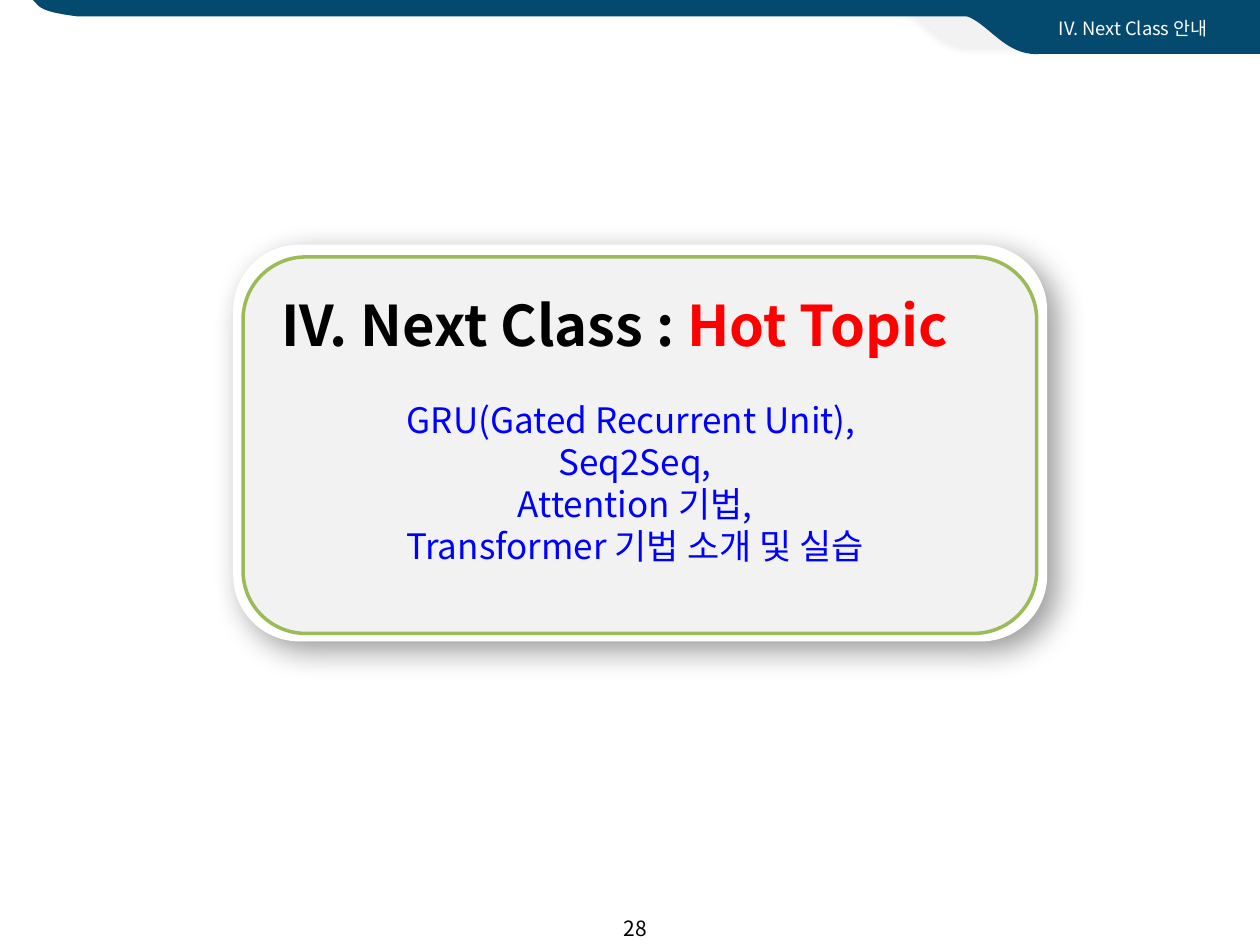
from dataclasses import dataclass

import pptx
import pptx.dml.color
import pptx.enum.shapes
import pptx.enum.text
import pptx.oxml
import pptx.oxml.ns
import pptx.util
from pptx.util import Cm

FONT = "Noto Sans CJK KR"
NAVY, GREY, WHITE, BLACK = "044A6E", "F2F2F2", "FFFFFF", "000000"
RED, BLUE, GREEN = "FF0000", "0000FF", "9BBB59"
ANCHOR = pptx.enum.text.MSO_ANCHOR
Point = tuple[float, float]


@dataclass
class Shade:
    alpha: int
    blur: float
    dist: float
    angle: int


@dataclass
class Band:
    """A bar whose left end is a curve; points are in cm."""
    edge: list[Point]
    bend: list[Point]
    fill: str
    shade: Shade | None = None


@dataclass
class Card:
    box: tuple[float, float, float, float]
    fill: str
    line: str | None = None
    shade: Shade | None = None
    turn: int = 0


@dataclass
class Label:
    box: tuple[float, float, float, float]
    lines: list[list[tuple[str, str]]]
    size: float
    bold: bool = False
    anchor: ANCHOR = ANCHOR.TOP


def paint(target, code: str) -> None:
    """Give a fill or a font a solid colour."""
    if hasattr(target, "solid"):
        target.solid()
        target = target.fore_color
    else:
        target = target.color
    target.rgb = pptx.dml.color.RGBColor.from_string(code)


def cast(shape, shade: Shade | None) -> None:
    """Replace the theme shadow with the given one, or with none."""
    shape.shadow.inherit = False
    if shade:
        blur, dist = pptx.util.Pt(shade.blur), pptx.util.Pt(shade.dist)
        glow = pptx.oxml.parse_xml(
            f'<a:outerShdw {pptx.oxml.ns.nsdecls("a")} blurRad="{blur}" '
            f'dist="{dist}" dir="{shade.angle * 60000}" rotWithShape="0">'
            f'<a:srgbClr val="{BLACK}"><a:alpha val="{shade.alpha * 1000}"/>'
            '</a:srgbClr></a:outerShdw>')
        shape._element.spPr.find(pptx.oxml.ns.qn("a:effectLst")).append(glow)


def curve(knots: list[Point], steps: int = 24) -> list[Point]:
    """Points along a cubic Bezier curve."""
    def at(t: float) -> Point:
        u = 1 - t
        parts = (u ** 3, 3 * u * u * t, 3 * u * t * t, t ** 3)
        return (sum(p * k[0] for p, k in zip(parts, knots)),
                sum(p * k[1] for p, k in zip(parts, knots)))
    return [at(i / steps) for i in range(1, steps)]


def draw_band(slide, band: Band) -> None:
    dots = band.edge + curve([band.edge[-1], *band.bend, band.edge[0]])
    first, *rest = [(Cm(x), Cm(y)) for x, y in dots]
    pen = slide.shapes.build_freeform(*first)
    pen.add_line_segments(rest, close=True)
    shape = pen.convert_to_shape()
    paint(shape.fill, band.fill)
    shape.line.fill.background()
    cast(shape, band.shade)


def draw_card(slide, card: Card) -> None:
    kind = pptx.enum.shapes.MSO_SHAPE.ROUNDED_RECTANGLE
    shape = slide.shapes.add_shape(kind, *map(Cm, card.box))
    shape.rotation = card.turn
    paint(shape.fill, card.fill)
    if card.line:
        paint(shape.line.fill, card.line)
        shape.line.width = pptx.util.Pt(2)
    else:
        shape.line.fill.background()
    cast(shape, card.shade)


def draw_label(slide, label: Label) -> None:
    frame = slide.shapes.add_textbox(*map(Cm, label.box)).text_frame
    frame.word_wrap = True
    frame.vertical_anchor = label.anchor
    style = {"name": FONT, "size": pptx.util.Pt(label.size), "bold": label.bold}
    for i, line in enumerate(label.lines):
        para = frame.add_paragraph() if i else frame.paragraphs[0]
        para.alignment = pptx.enum.text.PP_ALIGN.CENTER
        para.line_spacing = pptx.util.Pt(label.size * 1.2)
        for text, code in line:
            run = para.add_run()
            run.text = text
            for key, value in style.items():
                setattr(run.font, key, value)
            paint(run.font, code)
            face = pptx.oxml.parse_xml(
                f'<a:ea {pptx.oxml.ns.nsdecls("a")} typeface="{FONT}"/>')
            run.font._element.append(face)


TAB = [(19.38, 0.3), (25.4, 0.3), (25.4, 1.09), (20.96, 1.09)]
BEND = [(20.22, 1.14), (19.89, 0.38)]


def shift(dots: list[Point]) -> list[Point]:
    return [(x - 1.27, y - 0.15) for x, y in dots]


BANDS = [
    Band(shift(TAB), shift(BEND), GREY, Shade(5, 4, 3, 135)),
    Band(TAB, BEND, NAVY),
    Band([(0.66, 0), (25.4, 0), (25.4, 0.33), (1.55, 0.33)],
         [(0.76, 0.23), (0.81, 0.13)], NAVY),
]
CARDS = [
    Card((4.7, 4.93, 16.41, 8), WHITE, shade=Shade(40, 18, 8, 45), turn=180),
    Card((4.9, 5.18, 16, 7.59), GREY, GREEN),
]
TOPICS = ["GRU(Gated Recurrent Unit), ", "Seq2Seq,", "Attention 기법,",
          "Transformer 기법 소개 및 실습"]
LABELS = [
    Label((4.52, 5.74, 16, 3),
          [[("IV. Next Class : ", BLACK), ("Hot Topic ", RED)]], 32, True),
    Label((11.91, 18.21, 1.8, 1.02), [[("28", BLACK)]], 12,
          anchor=ANCHOR.MIDDLE),
    Label((20.29, 0.23, 5.11, 0.71), [[("IV. Next Class 안내", WHITE)]], 10.5),
    Label((5.11, 7.9, 15.39, 3.68), [[(t, BLUE)] for t in TOPICS], 20),
]


def main() -> None:
    deck = pptx.Presentation()
    deck.slide_width, deck.slide_height = Cm(25.4), Cm(19.05)
    slide = deck.slides.add_slide(deck.slide_layouts[6])
    for band in BANDS:
        draw_band(slide, band)
    for card in CARDS:
        draw_card(slide, card)
    for label in LABELS:
        draw_label(slide, label)
    deck.save("out.pptx")


if __name__ == "__main__":
    main()
